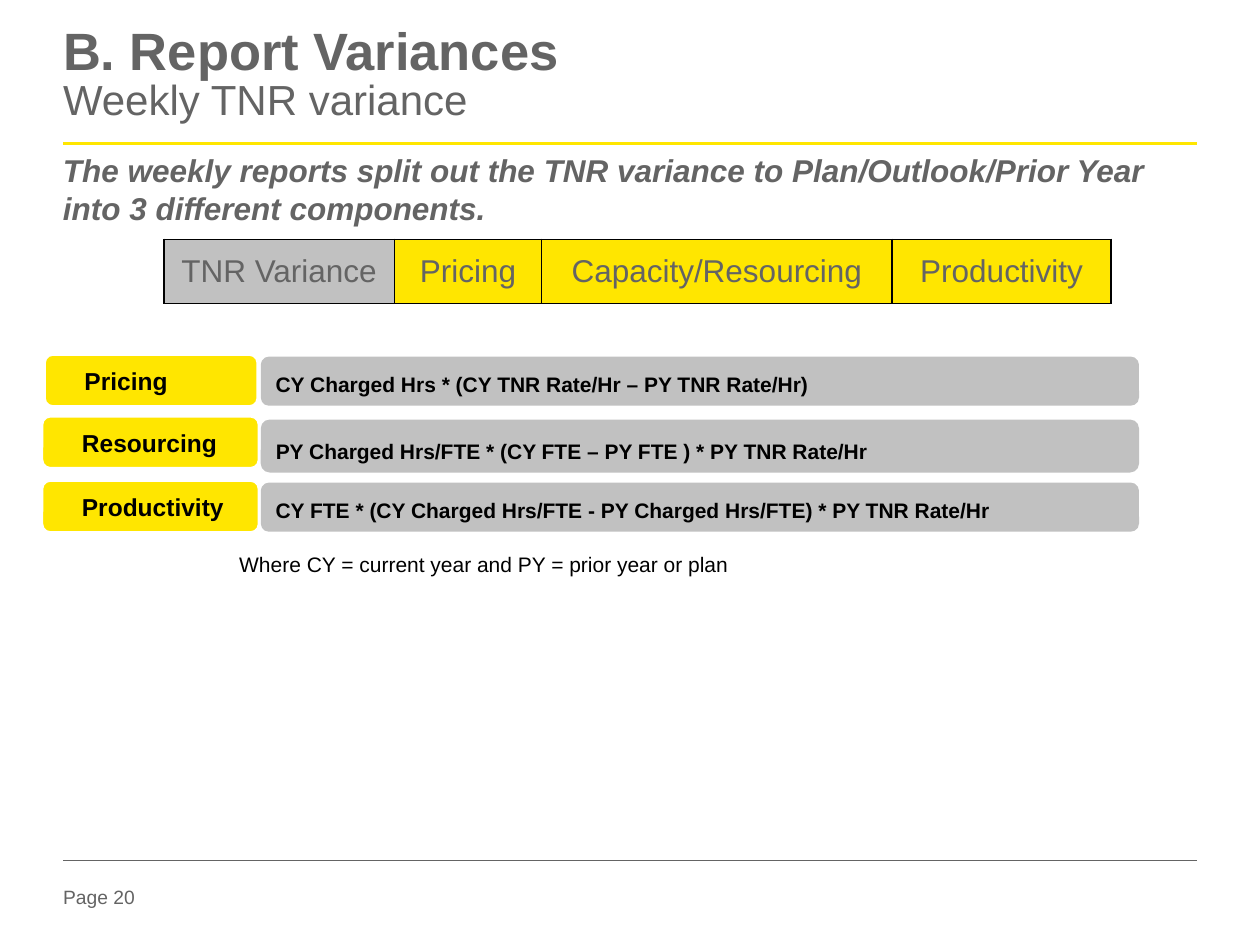
"""Build the weekly TNR variance slide."""
import lxml.etree
import pptx
import pptx.dml.color
import pptx.enum.shapes
import pptx.enum.text
import pptx.oxml.ns
import pptx.util

Inches = pptx.util.Inches
Pt = pptx.util.Pt
Color = pptx.dml.color.RGBColor.from_string
Align = pptx.enum.text.PP_ALIGN
Anchor = pptx.enum.text.MSO_ANCHOR
Shapes = pptx.enum.shapes
qn = pptx.oxml.ns.qn

THEME = {
    "font": "Arial",
    "gray": "646464",
    "silver": "C1C1C1",
    "yellow": "FFE600",
    "black": "000000",
    "white": "FFFFFF",
    "title": 30,
    "subtitle": 24,
    "lead": 18,
    "label": 14,
    "body": 12,
    "page": 11,
}


def add_run(paragraph, text, size, color, **styles):
    run = paragraph.add_run()
    run.text = text
    values = {"name": THEME["font"], "size": Pt(THEME[size]), **styles}
    for name, value in values.items():
        setattr(run.font, name, value)
    run.font.color.rgb = Color(THEME[color])


def format_frame(shape, insets, anchor=Anchor.TOP):
    frame = shape.text_frame
    left, top, right, bottom = (Inches(inset) for inset in insets)
    values = {
        "margin_left": left, "margin_top": top,
        "margin_right": right, "margin_bottom": bottom,
        "vertical_anchor": anchor, "word_wrap": True,
        "auto_size": pptx.enum.text.MSO_AUTO_SIZE.NONE,
    }
    for name, value in values.items():
        setattr(frame, name, value)
    frame.paragraphs[0].alignment = Align.LEFT
    return frame.paragraphs[0]


presentation = pptx.Presentation()
presentation.slide_width = Inches(10)
presentation.slide_height = Inches(7.5)
slide = presentation.slides.add_slide(presentation.slide_layouts[5])

for height, color, width in [(1.14, "yellow", 1.5), (6.83, "gray", 0.25)]:
    rule = slide.shapes.add_connector(
        Shapes.MSO_CONNECTOR.STRAIGHT,
        Inches(0.5), Inches(height), Inches(9.5), Inches(height))
    rule.line.color.rgb = Color(THEME[color])
    rule.line.width = Pt(width)
    lxml.etree.SubElement(rule._element.spPr, qn("a:effectLst"))

title = slide.shapes.title
title_box = {"left": 0.5, "top": 0.22, "width": 9, "height": 0.94}
for name, value in title_box.items():
    setattr(title, name, Inches(value))
paragraph = format_frame(title, (0, 0, 0, 0))
paragraph.line_spacing = 0.85
add_run(paragraph, "B. Report Variances ", "title", "gray", bold=True)
paragraph.add_line_break()
add_run(paragraph, "Weekly TNR variance", "subtitle", "gray", bold=False)

lead = ("The weekly reports split out the TNR variance to Plan/Outlook/Prior Year "
        "into 3 different components.")
note = "Where CY = current year and PY = prior year or plan"
flush, padded = (0, 0, 0, 0), (0.1, 0.05, 0.1, 0.05)
texts = [
    (lead, (0.5, 1.2, 9, 0.58), flush, Anchor.TOP, "lead", "gray",
     {"bold": True, "italic": True}),
    (note, (1.8, 4.33, 5.08, 0.3), padded, Anchor.TOP, "body", "black", {}),
    ("Page 20", (0.5, 7.01, 0.79, 0.22), flush, Anchor.MIDDLE, "page", "gray", {}),
]
for text, box, insets, anchor, size, color, styles in texts:
    shape = slide.shapes.add_textbox(*(Inches(value) for value in box))
    add_run(format_frame(shape, insets, anchor), text, size, color, **styles)

columns = [
    ("TNR Variance", 1.83, "silver"),
    ("Pricing", 1.17, "yellow"),
    ("Capacity/Resourcing", 2.78, "yellow"),
    ("Productivity", 1.74, "yellow"),
]
table = slide.shapes.add_table(
    1, len(columns), Inches(1.3), Inches(1.9), Inches(7.52), Inches(0.51)).table
for index, (text, width, color) in enumerate(columns):
    table.columns[index].width = Inches(width)
    cell = table.cell(0, index)
    cell.vertical_anchor = Anchor.MIDDLE
    cell.fill.solid()
    cell.fill.fore_color.rgb = Color(THEME[color])
    paragraph = cell.text_frame.paragraphs[0]
    paragraph.alignment = Align.CENTER
    add_run(paragraph, text, "lead", "gray", bold=False)
    properties = cell._tc.get_or_add_tcPr()
    for position, side in enumerate(["lnL", "lnR", "lnT", "lnB"]):
        border = lxml.etree.Element(qn(f"a:{side}"), w=str(Pt(1)))
        fill = lxml.etree.SubElement(border, qn("a:solidFill"))
        lxml.etree.SubElement(fill, qn("a:srgbClr"), val=THEME["black"])
        properties.insert(position, border)

components = [
    ("Pricing", (0.35, 2.81, 1.7, 0.42),
     "CY Charged Hrs * (CY TNR Rate/Hr – PY TNR Rate/Hr)", (2.07, 2.83, 6.97, 0.39)),
    ("Resourcing", (0.33, 3.3, 1.73, 0.42),
     "PY Charged Hrs/FTE * (CY FTE – PY FTE ) * PY TNR Rate/Hr", (2.07, 3.33, 6.97, 0.42)),
    ("Productivity", (0.33, 3.81, 1.73, 0.42),
     "CY FTE * (CY Charged Hrs/FTE - PY Charged Hrs/FTE) * PY TNR Rate/Hr",
     (2.07, 3.83, 6.97, 0.39)),
]
for label, label_box, formula, formula_box in components:
    bars = [
        (label, label_box, "yellow", "label", (0.3, 0.05, 0.1, 0.05), Anchor.MIDDLE),
        (formula, formula_box, "silver", "body", (0.1, 0.2, 0.1, 0.05), Anchor.BOTTOM),
    ]
    for text, box, color, size, insets, anchor in bars:
        shape = slide.shapes.add_shape(
            Shapes.MSO_SHAPE.ROUNDED_RECTANGLE, *(Inches(value) for value in box))
        shape.shadow.inherit = False
        shape.fill.solid()
        shape.fill.fore_color.rgb = Color(THEME[color])
        if text == label:
            shape.line.color.rgb = Color(THEME["white"])
            shape.line.width = Pt(2)
        else:
            shape.line.fill.background()
        add_run(format_frame(shape, insets, anchor), text, size, "black", bold=True)

presentation.save("out.pptx")
